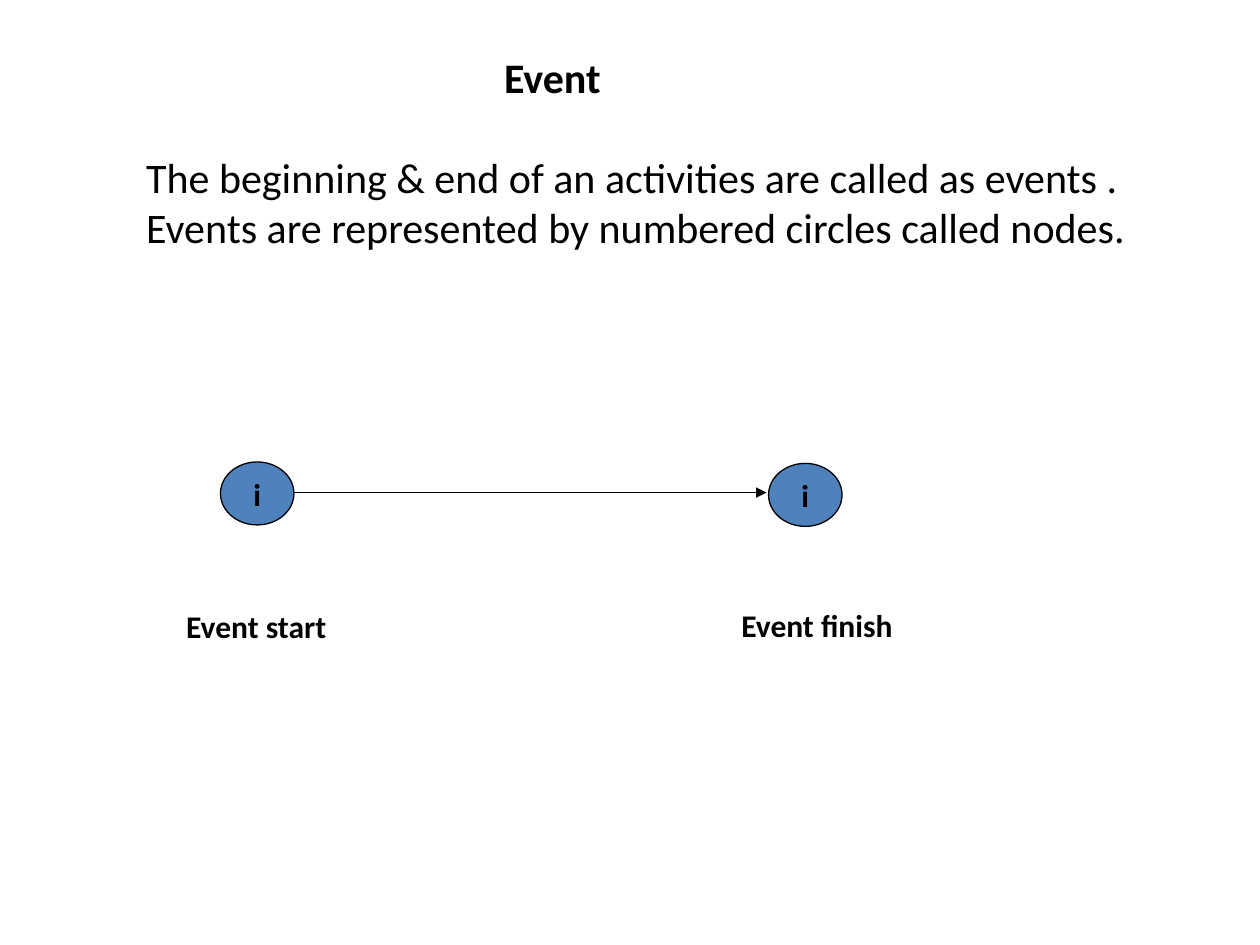
from dataclasses import dataclass

from lxml import etree
from pptx import Presentation
from pptx.dml.color import RGBColor
from pptx.enum import shapes, text
from pptx.oxml.ns import qn
from pptx.util import Pt


@dataclass(frozen=True)
class Theme:
    """Colours, font and type sizes of the slide."""
    font: str = "Calibri"
    ink: RGBColor = RGBColor(0x00, 0x00, 0x00)
    node: RGBColor = RGBColor(0x4F, 0x81, 0xBD)
    large: float = 24
    small: float = 18
    line: float = 0.75


@dataclass(frozen=True)
class Box:
    """Position and size in points."""
    left: float
    top: float
    width: float
    height: float

    def emu(self) -> tuple:
        """Return the four lengths for python-pptx."""
        return Pt(self.left), Pt(self.top), Pt(self.width), Pt(self.height)


@dataclass(frozen=True)
class Event:
    """A numbered node and the caption below it."""
    number: str
    node: Box
    caption: str
    caption_box: Box


THEME = Theme()
EVENTS = [
    Event("i", Box(126, 264, 42, 36), "Event start", Box(99.3, 343.5, 95, 29)),
    Event("i", Box(439.2, 264.8, 42, 36), "Event finish", Box(416.6, 343, 102, 29)),
]
ARROW_Y = 281.5


def write(sp, content: str, size: float, bold: bool = False, wrap: bool = False,
          align=text.PP_ALIGN.LEFT, anchor=text.MSO_ANCHOR.TOP) -> None:
    """Fill a shape with text and format every run."""
    tf = sp.text_frame
    tf.text = content
    tf.word_wrap = wrap
    tf.auto_size = text.MSO_AUTO_SIZE.NONE
    tf.vertical_anchor = anchor
    for p in tf.paragraphs:
        p.alignment = align
        p.space_before = Pt(0)
        for r in p.runs:
            r.font.name = THEME.font
            r.font.size = Pt(size)
            r.font.bold = bold
            r.font.color.rgb = THEME.ink


def place(sp, box: Box) -> None:
    """Move a placeholder to a box."""
    sp.left, sp.top, sp.width, sp.height = box.emu()


def remove_bullets(sp) -> None:
    """Set the paragraphs flush left without bullets."""
    for p in sp.text_frame.paragraphs:
        pPr = p._p.get_or_add_pPr()
        pPr.set("marL", "0")
        pPr.set("indent", "0")
        etree.SubElement(pPr, qn("a:buNone"))


def draw_event(s, event: Event) -> None:
    """Draw the node of an event and its caption."""
    sp = s.shapes.add_shape(shapes.MSO_SHAPE.OVAL, *event.node.emu())
    sp.shadow.inherit = False
    sp.fill.solid()
    sp.fill.fore_color.rgb = THEME.node
    sp.line.color.rgb = THEME.ink
    sp.line.width = Pt(THEME.line)
    write(sp, event.number, THEME.small, bold=True,
          align=text.PP_ALIGN.CENTER, anchor=text.MSO_ANCHOR.MIDDLE)
    caption = s.shapes.add_textbox(*event.caption_box.emu())
    write(caption, event.caption, THEME.small, bold=True)


def draw_arrow(s, start: Box, finish: Box) -> None:
    """Draw the activity arrow between two nodes."""
    line = s.shapes.add_connector(
        shapes.MSO_CONNECTOR.STRAIGHT, Pt(start.left + start.width), Pt(ARROW_Y),
        Pt(finish.left - 1.2), Pt(ARROW_Y))
    line.line.color.rgb = THEME.ink
    line.line.width = Pt(THEME.line)
    etree.SubElement(line.line._get_or_add_ln(), qn("a:tailEnd"), type="triangle")
    etree.SubElement(line._element.spPr, qn("a:effectLst"))


def build() -> None:
    """Build and save the slide."""
    prs = Presentation()
    prs.slide_width, prs.slide_height = Pt(720), Pt(540)
    s = prs.slides.add_slide(prs.slide_layouts[1])
    title, body = s.placeholders
    place(title, Box(280.8, 26, 75.6, 36))
    write(title, "Event", THEME.large, bold=True)
    place(body, Box(76.3, 82.8, 578.2, 65.5))
    write(body, "The beginning & end of an activities are called as events .\n"
                "Events are represented by numbered circles called nodes.",
          THEME.large, wrap=True)
    remove_bullets(body)
    for event in EVENTS:
        draw_event(s, event)
    draw_arrow(s, EVENTS[0].node, EVENTS[1].node)
    prs.save("out.pptx")


build()
